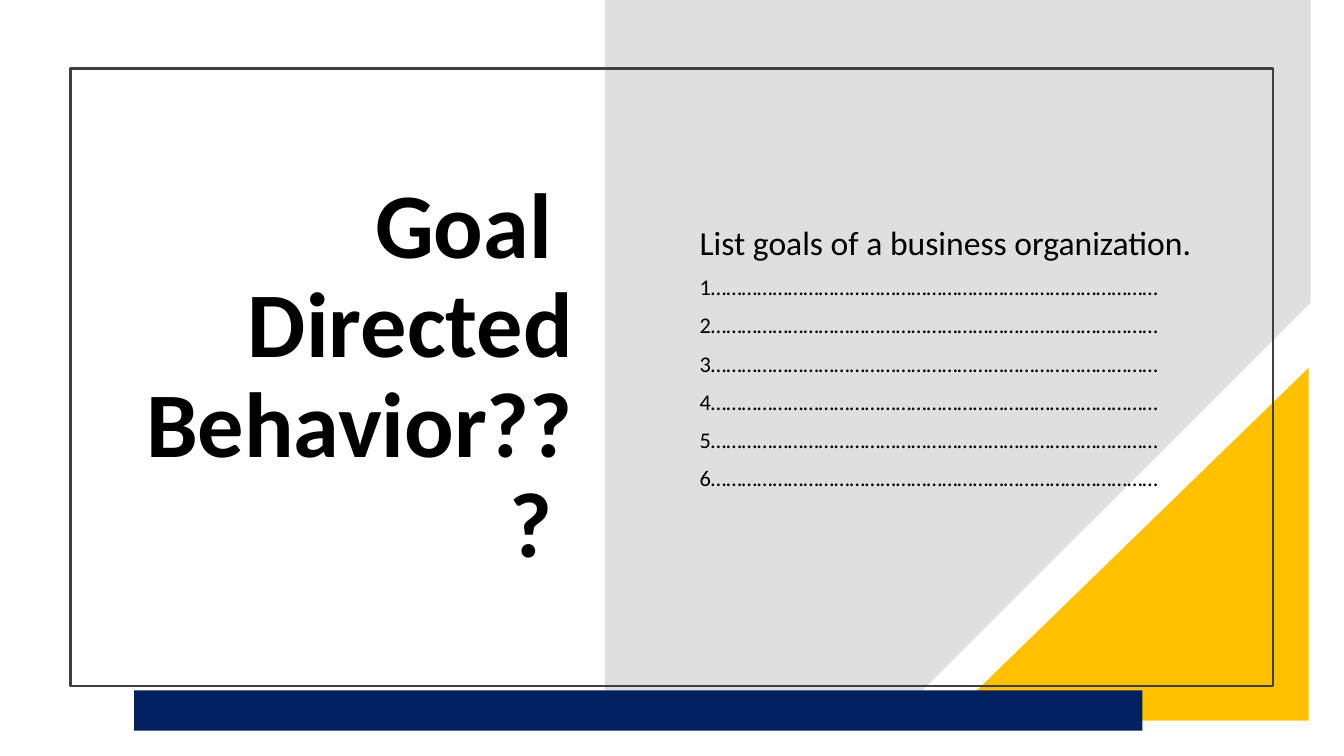
from lxml import etree
from pptx import Presentation
from pptx.dml.color import RGBColor
from pptx.enum.shapes import MSO_SHAPE as SHAPE
from pptx.enum.text import MSO_ANCHOR as ANCHOR, PP_ALIGN as ALIGN
from pptx.oxml.ns import qn
from pptx.util import Inches, Pt

TITLE = "Goal  Directed Behavior??? "
PROMPT = "List goals of a business organization."
DOTS = "……………………………………………………………………………"
GOAL_COUNT = 6
FONT = "Calibri"
COLORS = {"panel": "808080", "corner": "FFC000", "frame": "404040",
          "bar": "002060", "text": "000000"}

# Boxes are left, top, width, height in inches
CORNER = (9.38, 3.65, 3.6, 3.5)
FRAME = (0.7, 0.68, 11.93, 6.13)
TITLE_BOX = (1.1, 1.3, 4.68, 4.9)
GOALS_BOX = (6.84, 2.03, 5.67, 3.44)
BAR = (1.33, 6.85, 10, 0.4)
PANEL_POINTS = [(6.31, 0.35), (12.98, 0.35), (12.98, 3.49),
                (9.21, 7.15), (6.31, 7.15)]


def color(name):
    return RGBColor.from_string(COLORS[name])


def paint(sp, fill=None, line=None):
    sp.shadow.inherit = False
    if fill:
        sp.fill.solid()
        sp.fill.fore_color.rgb = color(fill)
    else:
        sp.fill.background()
    if line:
        sp.line.color.rgb = color(line)
        sp.line.width = Pt(1.5)
    else:
        sp.line.fill.background()


def add_shape(slide, kind, box, **style):
    sp = slide.shapes.add_shape(kind, *map(Inches, box))
    paint(sp, **style)
    return sp


def add_panel(slide):
    """Draw the see-through grey panel with its lower right corner cut off."""
    builder = slide.shapes.build_freeform(*PANEL_POINTS[0], scale=Inches(1))
    builder.add_line_segments(PANEL_POINTS[1:], close=True)
    sp = builder.convert_to_shape()
    paint(sp, fill="panel")
    rgb = sp.fill._xPr.find(qn("a:solidFill")).find(qn("a:srgbClr"))
    etree.SubElement(rgb, qn("a:alpha")).set("val", "25000")


def add_text(slide, box, lines, align=ALIGN.LEFT, bold=False, before=0):
    """Add a middle-anchored box; lines holds (text, point size) pairs."""
    tf = slide.shapes.add_textbox(*map(Inches, box)).text_frame
    tf.word_wrap = True
    tf.vertical_anchor = ANCHOR.MIDDLE
    tf.text = "\n".join(text for text, _ in lines)
    for p, (_, size) in zip(tf.paragraphs, lines):
        p.alignment = align
        p.line_spacing = 0.9
        p.space_before = Pt(before)
        font = p.runs[0].font
        font.name, font.size, font.bold = FONT, Pt(size), bold
        font.color.rgb = color("text")
    return tf


def main():
    prs = Presentation()
    prs.slide_width, prs.slide_height = Inches(13.33), Inches(7.5)
    slide = prs.slides.add_slide(prs.slide_layouts[6])

    add_panel(slide)
    corner = add_shape(slide, SHAPE.RIGHT_TRIANGLE, CORNER, fill="corner")
    corner._element.spPr.find(qn("a:xfrm")).set("flipH", "1")
    add_shape(slide, SHAPE.RECTANGLE, FRAME, line="frame")

    add_text(slide, TITLE_BOX, [(TITLE, 66)], align=ALIGN.RIGHT, bold=True)
    goals = [(f"{n}{DOTS}", 16) for n in range(1, GOAL_COUNT + 1)]
    tf = add_text(slide, GOALS_BOX, [(PROMPT, 24)] + goals, before=10)
    tf.margin_bottom = Inches(0.43)
    for p in tf.paragraphs:
        pPr = p._p.get_or_add_pPr()
        pPr.set("marL", str(Inches(0.25)))
        pPr.set("indent", str(-Inches(0.25)))

    add_shape(slide, SHAPE.RECTANGLE, BAR, fill="bar")
    prs.save("out.pptx")


if __name__ == "__main__":
    main()
